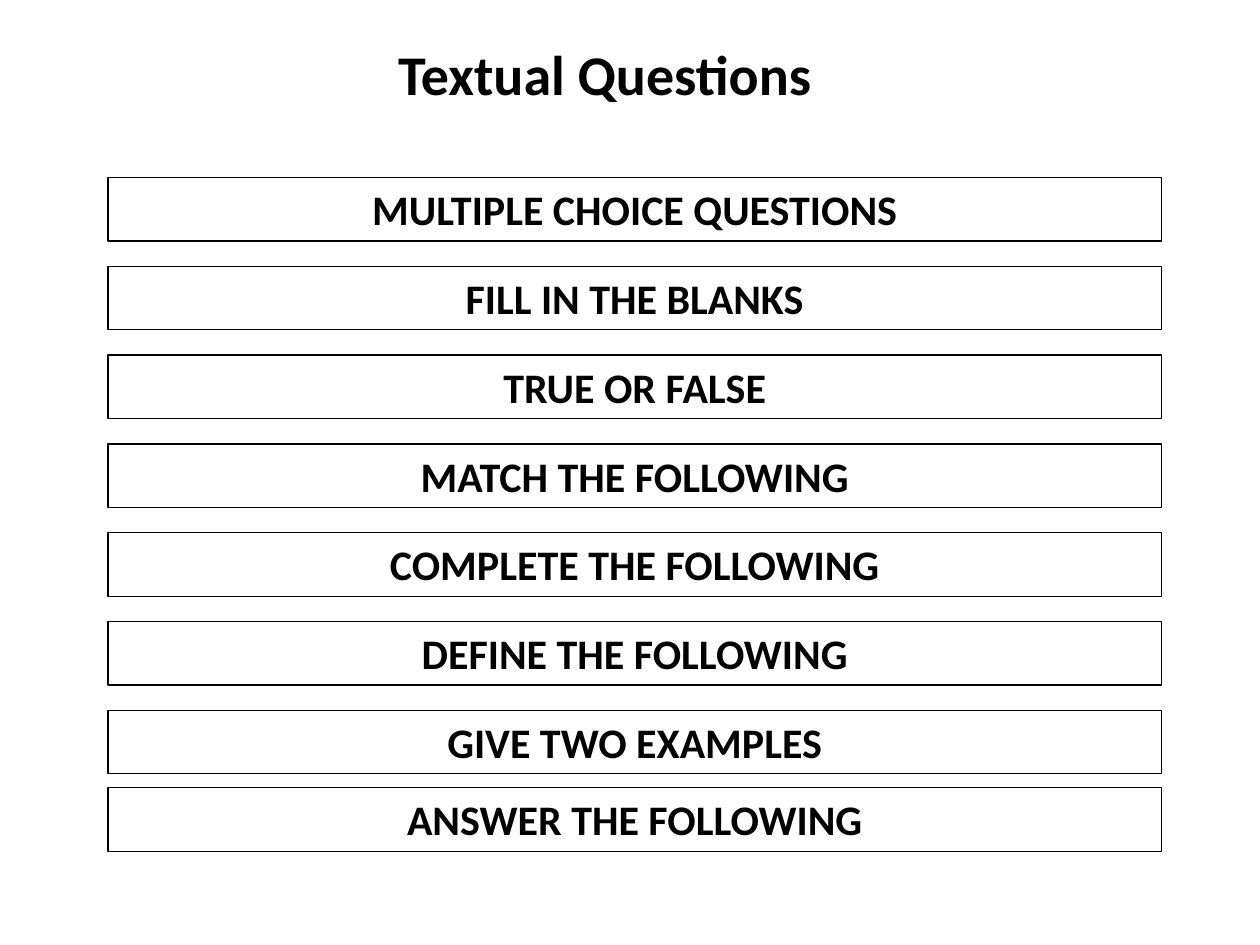
from pptx import Presentation
from pptx.dml.color import RGBColor
from pptx.enum import shapes, text
from pptx.util import Cm, Pt

COLOURS = {"ink": "000000"}
FONT = "Calibri"

SECTIONS = [
    "MULTIPLE CHOICE QUESTIONS",
    "FILL IN THE BLANKS",
    "TRUE OR FALSE",
    "MATCH THE FOLLOWING",
    "COMPLETE THE FOLLOWING",
    "DEFINE THE FOLLOWING",
    "GIVE TWO EXAMPLES",
]
LAST_SECTION = "ANSWER THE FOLLOWING"

FIRST_TOP, STEP, LAST_TOP = 3.58, 1.79, 15.88


def colour(name):
    return RGBColor.from_string(COLOURS[name])


def write_centred(frame, wording, size):
    frame.text = wording
    frame.word_wrap = True
    paragraph = frame.paragraphs[0]
    paragraph.alignment = text.PP_ALIGN.CENTER
    paragraph.font.name = FONT
    paragraph.font.size = Pt(size)
    paragraph.font.bold = True
    paragraph.font.color.rgb = colour("ink")


def set_title(slide, wording):
    title = slide.shapes.title
    title.left, title.top = Cm(1.4), Cm(-0.58)
    title.width, title.height = Cm(21.59), Cm(4.09)
    write_centred(title.text_frame, wording, 32)
    title.text_frame.vertical_anchor = text.MSO_ANCHOR.MIDDLE


def add_section_bar(slide, wording, top):
    bar = slide.shapes.add_shape(
        shapes.MSO_SHAPE.RECTANGLE, Cm(2.18), Cm(top), Cm(21.23), Cm(1.28)
    )
    bar.shadow.inherit = False
    bar.fill.background()
    bar.line.color.rgb = colour("ink")
    bar.line.width = Pt(0.75)
    write_centred(bar.text_frame, wording, 24)
    bar.text_frame.vertical_anchor = text.MSO_ANCHOR.TOP
    bar.text_frame.auto_size = text.MSO_AUTO_SIZE.SHAPE_TO_FIT_TEXT


def main():
    deck = Presentation()
    deck.slide_width, deck.slide_height = Cm(25.4), Cm(19.05)
    slide = deck.slides.add_slide(deck.slide_layouts.get_by_name("Title Only"))

    set_title(slide, "Textual Questions")
    for index, section in enumerate(SECTIONS):
        add_section_bar(slide, section, FIRST_TOP + index * STEP)
    # The last bar sits closer to its neighbour than the others.
    add_section_bar(slide, LAST_SECTION, LAST_TOP)

    deck.save("out.pptx")


if __name__ == "__main__":
    main()
